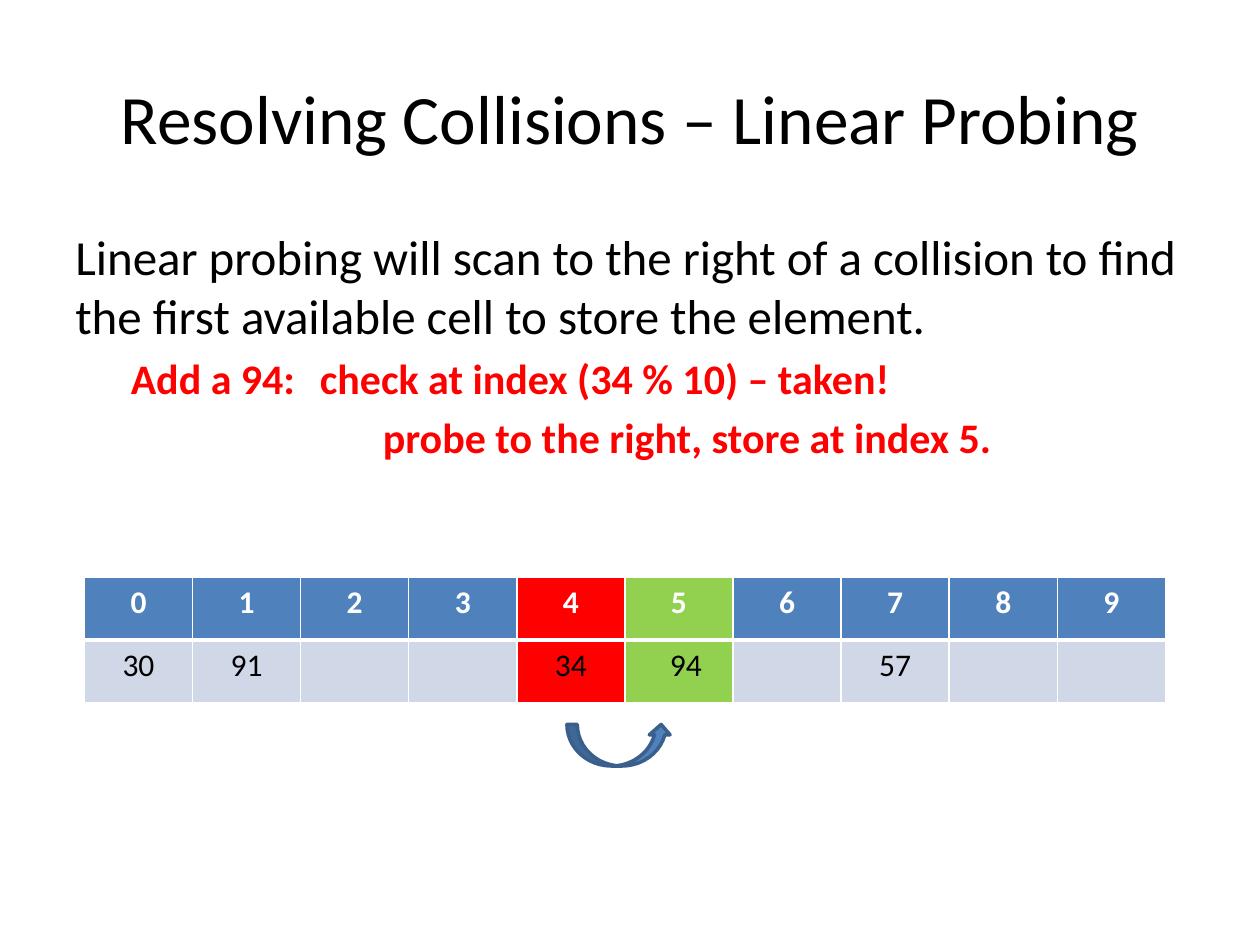
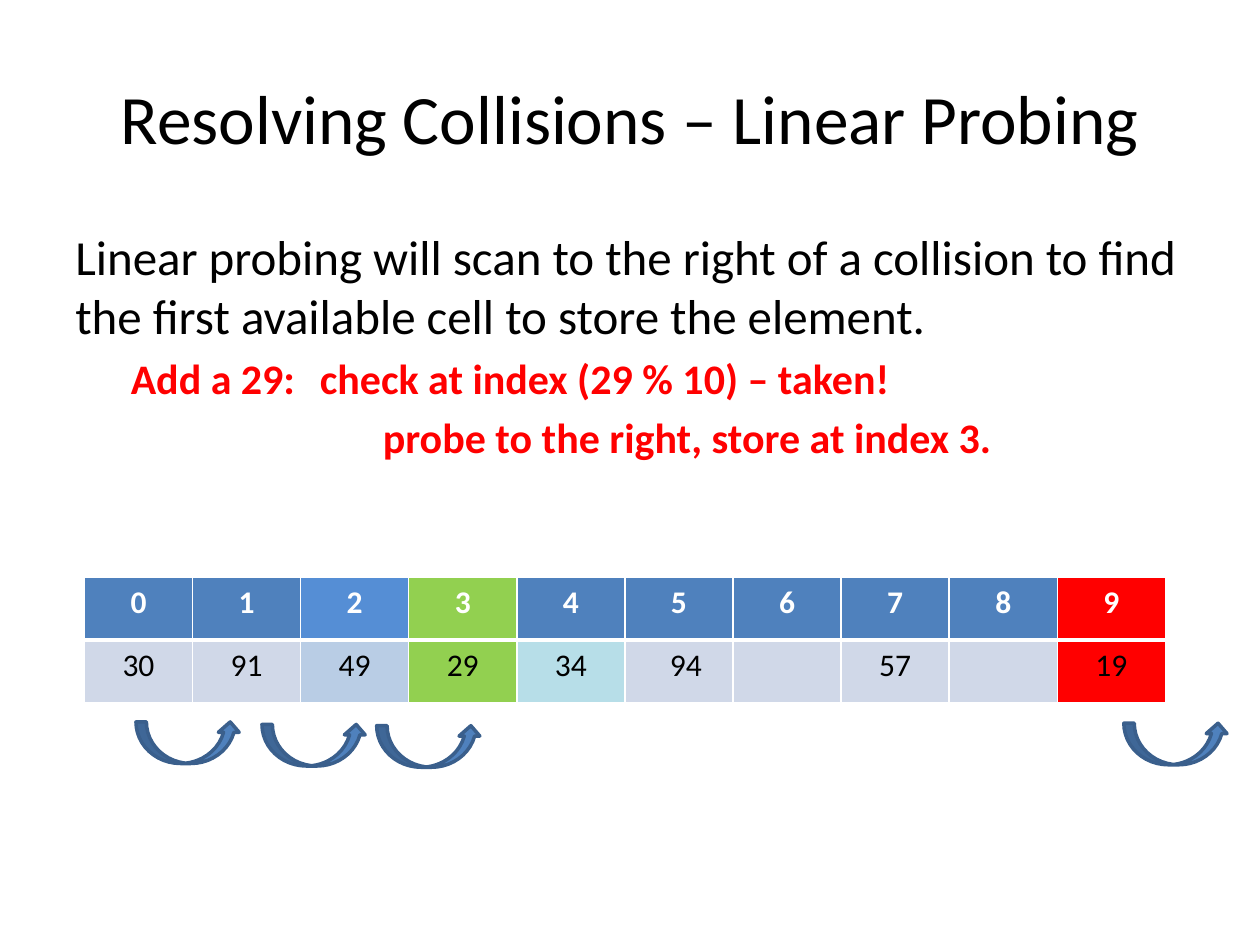
from lxml import etree
from pptx import Presentation
from pptx.dml.color import RGBColor
from pptx.enum.shapes import MSO_SHAPE
from pptx.enum.text import MSO_ANCHOR, PP_ALIGN
from pptx.oxml.ns import qn
from pptx.util import Inches, Pt

CENTER, LEFT = PP_ALIGN.CENTER, PP_ALIGN.LEFT
MIDDLE, TOP = MSO_ANCHOR.MIDDLE, MSO_ANCHOR.TOP
ARROW = MSO_SHAPE.CURVED_UP_ARROW

FONT = "Calibri"
BLACK, WHITE, RED, GREEN = "000000", "FFFFFF", "FF0000", "92D050"
BLUE, PALE, EDGE = "4F81BD", "D0D8E8", "3A5F8C"

TITLE = "Resolving Collisions – Linear Probing"
INTRO = ("Linear probing will scan to the right of a collision "
         "to find the first available cell to store the element.")

# Boxes: left, top, width, height
TITLE_BOX = (0.5, 0.3, 9, 1.25)
BODY_BOX = (0.5, 1.75, 9, 4.95)
TABLE_BOX = (0.67, 4.58, 8.58, 1)
ARROW_SIZE = (0.83, 0.33)

# Each step: number added, its hash, the free index, stored values,
# special fills (row, column), arrow corners
STEPS = [
    dict(num=94, key=34, free=5,
         cells={0: 30, 1: 91, 4: 34, 5: 94, 7: 57},
         fills={(0, 4): RED, (1, 4): RED, (0, 5): GREEN, (1, 5): GREEN},
         hops=[(4.5, 5.75)]),
    dict(num=29, key=29, free=3,
         cells={0: 30, 1: 91, 2: 49, 3: 29, 4: 34, 5: 94, 7: 57, 9: 19},
         fills={(0, 2): "558ED5", (1, 2): "B9CDE5", (0, 3): GREEN,
                (1, 3): GREEN, (1, 4): "B7DEE8", (0, 9): RED, (1, 9): RED},
         hops=[(8.92, 5.74), (1.08, 5.73), (2.08, 5.75), (2.99, 5.76)]),
]


def rgb(code):
    return RGBColor.from_string(code)


def inches(box):
    return [Inches(v) for v in box]


def write(para, text, size, color, bold=False, align=LEFT):
    para.text = text
    para.alignment = align
    for run in para.runs:
        font = run.font
        font.name, font.size, font.bold = FONT, Pt(size), bold
        font.color.rgb = rgb(color)


def text_box(slide, box, anchor):
    frame = slide.shapes.add_textbox(*inches(box)).text_frame
    frame.word_wrap = True
    frame.vertical_anchor = anchor
    return frame


def add_title(slide, box):
    frame = text_box(slide, box, MIDDLE)
    write(frame.paragraphs[0], TITLE, 39.6, BLACK, align=CENTER)


def add_body(slide, box, step):
    frame = text_box(slide, box, TOP)
    check = f"Add a {step['num']}:\tcheck at index ({step['key']} % 10) – taken!"
    probe = f"probe to the right, store at index {step['free']}."
    lines = [(INTRO, 28, BLACK, False, 0),
             (check, 24, RED, True, 0.44),
             (probe, 24, RED, True, 2.44)]
    for i, (text, size, color, bold, indent) in enumerate(lines):
        para = frame.paragraphs[0] if i == 0 else frame.add_paragraph()
        write(para, text, size, color, bold)
        # Indent, and space before as a share of the line
        props = para._p.get_or_add_pPr()
        props.set("marL", str(Inches(indent)))
        props.set("indent", "0")
        space = etree.SubElement(props, qn("a:spcBef"))
        etree.SubElement(space, qn("a:spcPct")).set("val", "20000")


def add_edges(cell, row):
    thick = "lnB" if row == 0 else "lnT"
    props = cell._tc.get_or_add_tcPr()
    for side in ("lnL", "lnR", "lnT", "lnB"):
        line = etree.SubElement(props, qn("a:" + side))
        line.set("w", str(Pt(3 if side == thick else 1)))
        fill = etree.SubElement(line, qn("a:solidFill"))
        etree.SubElement(fill, qn("a:srgbClr")).set("val", WHITE)


def add_cells(slide, box, step):
    table = slide.shapes.add_table(2, 10, *inches(box)).table
    table.first_row = table.horz_banding = False
    for row in range(2):
        for col in range(10):
            cell = table.cell(row, col)
            add_edges(cell, row)
            cell.fill.solid()
            base = PALE if row else BLUE
            cell.fill.fore_color.rgb = rgb(step["fills"].get((row, col), base))
            text = str(step["cells"].get(col, "") if row else col)
            write(cell.text_frame.paragraphs[0], text, 18,
                  BLACK if row else WHITE, row == 0, CENTER)
    # The value at index 5 sits a little to the right
    table.cell(1, 5).margin_left = Inches(0.21)


def add_hop(slide, corner):
    shape = slide.shapes.add_shape(ARROW, *inches(corner + ARROW_SIZE))
    shape.shadow.inherit = False
    shape.fill.solid()
    shape.fill.fore_color.rgb = rgb(BLUE)
    shape.line.color.rgb = rgb(EDGE)
    shape.line.width = Pt(2)


def add_step(deck, step):
    slide = deck.slides.add_slide(deck.slide_layouts[6])
    add_title(slide, TITLE_BOX)
    add_body(slide, BODY_BOX, step)
    add_cells(slide, TABLE_BOX, step)
    for corner in step["hops"]:
        add_hop(slide, corner)


def main():
    deck = Presentation()
    deck.slide_width, deck.slide_height = Inches(10), Inches(7.5)
    for step in STEPS:
        add_step(deck, step)
    deck.save("out.pptx")


if __name__ == "__main__":
    main()
